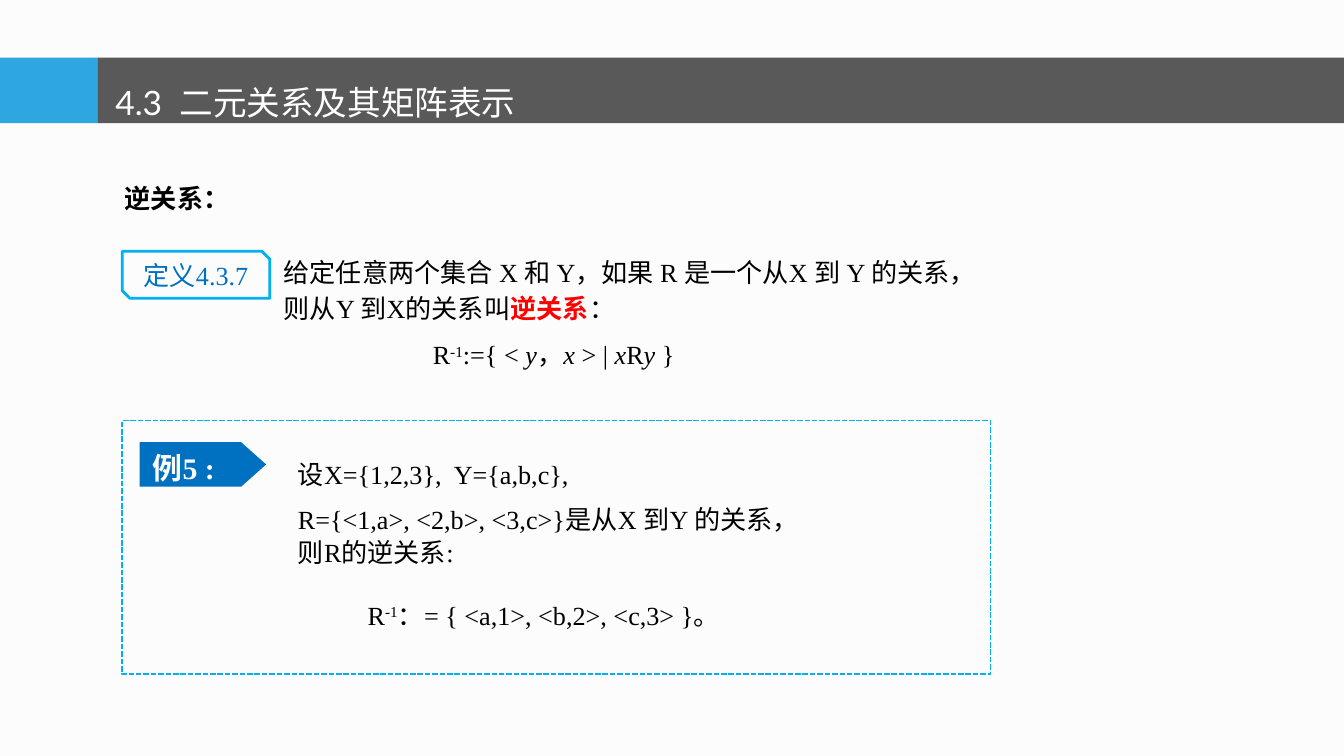
import pptx
import pptx.util
import pptx.dml.color
import pptx.enum.dml
import pptx.enum.shapes
import pptx.enum.text

Cm, Pt = pptx.util.Cm, pptx.util.Pt
SHAPE = pptx.enum.shapes.MSO_SHAPE
ALIGN = pptx.enum.text.PP_ALIGN
SERIF = "Times New Roman"
COLORS = {
    "background": "FCFCFC", "accent": "2EA7E0", "bar": "595959",
    "outline": "00B0F0", "blue": "0070C0", "red": "FF0000",
    "black": "000000", "white": "FFFFFF",
}


def rgb(name):
    return pptx.dml.color.RGBColor.from_string(COLORS[name])


def add_box(slide, kind, box, fill=None, line=None, width=1):
    sp = slide.shapes.add_shape(kind, *map(Cm, box))
    sp.shadow.inherit = False
    if fill:
        sp.fill.solid()
        sp.fill.fore_color.rgb = rgb(fill)
    else:
        sp.fill.background()
    if line:
        sp.line.color.rgb = rgb(line)
        sp.line.width = Pt(width)
    else:
        sp.line.fill.background()
    sp.text_frame.word_wrap = False
    return sp


def add_text(slide, box, wrap=True):
    tf = slide.shapes.add_textbox(*map(Cm, box)).text_frame
    tf.word_wrap = wrap
    return tf


def write(p, *runs, size=14, font=SERIF, color="black", bold=False,
          spacing=None, before=0, after=0, align=ALIGN.LEFT):
    """Fill a paragraph; a run is a string or (string, style)."""
    p.font.size, p.font.name, p.font.bold = Pt(size), font, bold
    p.font.color.rgb = rgb(color)
    p.alignment, p.line_spacing = align, spacing
    p.space_before, p.space_after = Pt(before), Pt(after)
    for run in runs:
        text, style = (run, None) if isinstance(run, str) else run
        r = p.add_run()
        r.text = text
        if style == "italic":
            r.font.italic = True
        elif style == "super":
            r.font._element.set("baseline", "30000")
        elif style == "term":
            r.font.bold = True
            r.font.color.rgb = rgb("red")


def add_header(slide, box):
    x, y, w, h = box
    tab = 1.85
    add_box(slide, SHAPE.RECTANGLE, (x, y, tab, h), "accent")
    add_box(slide, SHAPE.RECTANGLE, (x + tab, y, w - tab, h), "bar")
    tf = add_text(slide, (x + tab + 0.08, y - 0.2, 8.23, 1.57), wrap=False)
    write(tf.paragraphs[0], "4.3  二元关系及其矩阵表示", size=18, font="Lato",
          color="white", spacing=1.7, before=3.6)


def add_heading(slide, box):
    tf = add_text(slide, box)
    write(tf.paragraphs[0], "逆关系：", bold=True)


def add_definition(slide, box):
    x, y, w, h = box
    # Label
    label = add_box(slide, SHAPE.SNIP_2_DIAG_RECTANGLE,
                    (x, y + 0.1, 2.79, 0.89), line="outline", width=1.5)
    write(label.text_frame.paragraphs[0], "定义4.3.7", color="blue",
          before=2.8, align=ALIGN.CENTER)
    # Statement and formula
    tf = add_text(slide, (x + 2.8, y, w - 2.8, h))
    write(tf.paragraphs[0],
          "给定任意两个集合 X 和 Y，如果 R 是一个从X 到 Y 的关系，则从Y 到X的关系叫",
          ("逆关系", "term"), "：", spacing=Pt(19), before=6)
    p = tf.add_paragraph()
    write(p, "R", ("-1", "super"), ":={ < ", ("y", "italic"), "，",
          ("x ", "italic"), "> | ", ("x", "italic"), "R", ("y", "italic"),
          " }", spacing=Pt(19), before=6)
    p._p.get_or_add_pPr().set("marL", str(Cm(2.82)))


def add_example(slide, box):
    x, y, w, h = box
    # Dashed frame
    frame = add_box(slide, SHAPE.RECTANGLE, box, line="outline")
    frame.line.dash_style = pptx.enum.dml.MSO_LINE.SQUARE_DOT
    # Tag
    tag = add_box(slide, SHAPE.PENTAGON, (x + 0.33, y + 0.41, 2.39, 0.84), "blue")
    tag.adjustments[0] = 0.56
    write(tag.text_frame.paragraphs[0], "例5 :", size=16, color="white",
          bold=True, spacing=1.2)
    # Problem
    tf = add_text(slide, (x + 3.07, y + 0.3, 15.32, 3.78))
    write(tf.paragraphs[0], "设X={1,2,3},  Y={a,b,c},", spacing=1.5,
          before=6, after=6)
    for text in ("R={<1,a>, <2,b>, <3,c>}是从X 到Y 的关系，", "则R的逆关系:"):
        write(tf.add_paragraph(), text, spacing=0.9, before=2.8)
    # Result
    tf = add_text(slide, (x + 4.39, y + 3.25, 11.61, 0.86))
    write(tf.paragraphs[0], "R", ("-1", "super"),
          "：= { <a,1>, <b,2>, <c,3> }。")


def main():
    prs = pptx.Presentation()
    prs.slide_width, prs.slide_height = Cm(25.4), Cm(14.29)
    slide = prs.slides.add_slide(prs.slide_layouts[6])
    slide.background.fill.solid()
    slide.background.fill.fore_color.rgb = rgb("background")
    add_header(slide, (0, 1.09, 25.4, 1.24))
    add_heading(slide, (2.11, 3.33, 12.8, 0.86))
    add_definition(slide, (2.31, 4.65, 16.21, 2.49))
    add_example(slide, (2.31, 7.95, 16.41, 4.8))
    prs.save("out.pptx")


if __name__ == "__main__":
    main()
